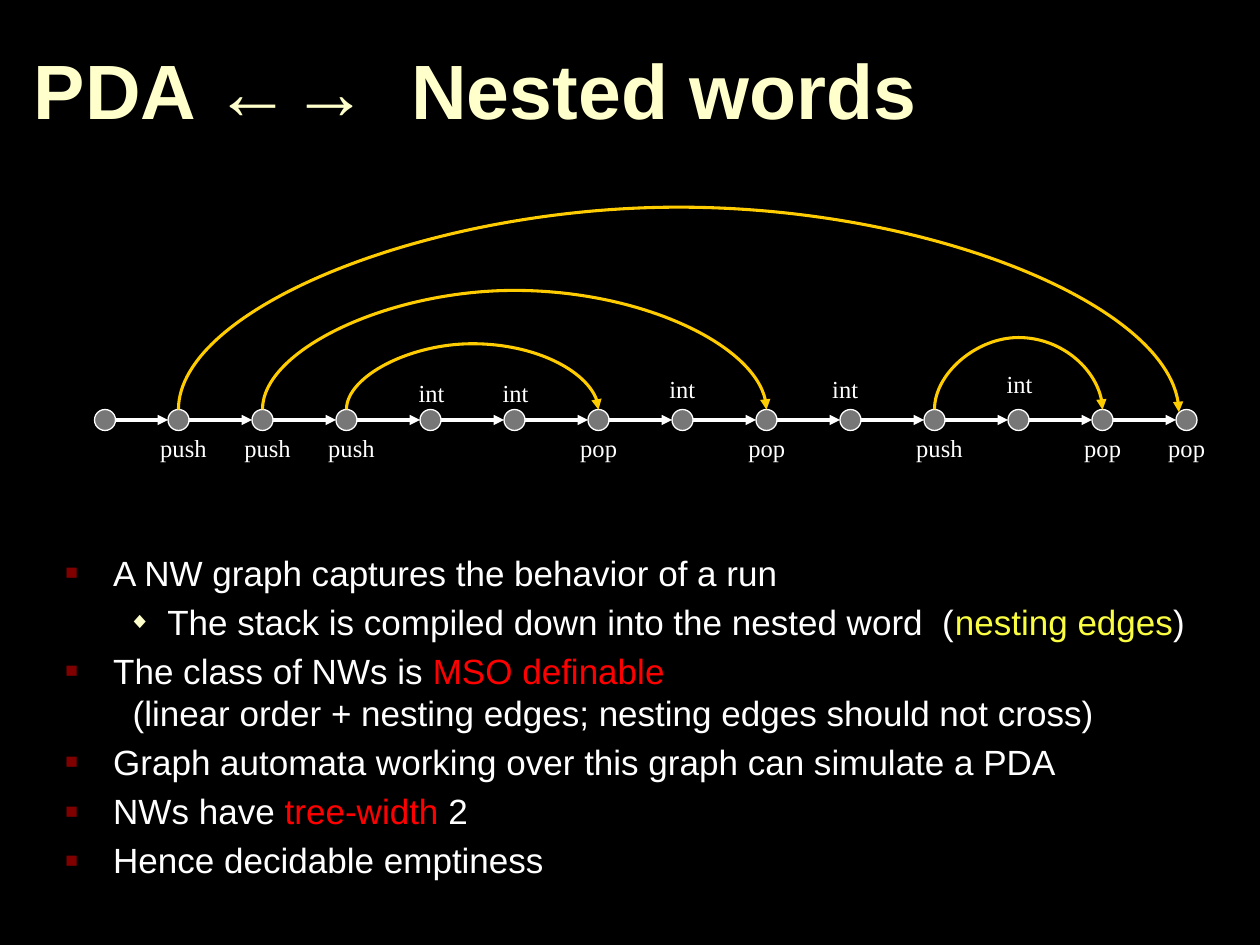
from lxml import etree
from pptx import Presentation
from pptx.dml.color import RGBColor
from pptx.enum.shapes import MSO_CONNECTOR as Link, MSO_SHAPE as Shape
from pptx.enum.text import MSO_ANCHOR as Anchor, MSO_AUTO_SIZE as AutoSize
from pptx.oxml.ns import qn
from pptx.util import Inches, Pt

BLACK = RGBColor(0x00, 0x00, 0x00)
WHITE = RGBColor(0xFF, 0xFF, 0xFF)
GREY = RGBColor(0x77, 0x77, 0x77)
CREAM = RGBColor(0xFF, 0xFF, 0xCC)
GOLD = RGBColor(0xFF, 0xCC, 0x00)
YELLOW = RGBColor(0xF9, 0xFC, 0x40)
RED = RGBColor(0xFF, 0x00, 0x00)
MAROON = RGBColor(0x80, 0x00, 0x00)

# The word: one node per letter, after a start node
START_X = 0.75
FIRST_X = 4 / 3
PITCH = 2 / 3
NODE_SIZE = 1 / 6
NODE_TOP = 3.25
LETTERS = ["push", "push", "push", "int", "int", "pop", "int",
           "pop", "int", "push", "int", "pop", "pop"]
# Position in the word: offset from the node, top
INT_PLACES = {3: (-0.11, 2.95), 4: (-0.11, 2.95), 6: (-0.12, 2.92),
              8: (-0.16, 2.92), 10: (-0.11, 2.88)}
# Push position, pop position, rise, end shift to the left, end drop
NESTING_EDGES = [(0, 12, 1.6, 0.06, 0.02), (1, 7, 0.96, 0, 0),
                 (2, 5, 0.53, 0, 0), (9, 11, 0.58, 0, 0)]
MIN_DROP = 0.002

# Level, lines of (text, colour) runs
POINTS = [
    (0, [[("A NW graph captures the behavior of a run", WHITE)]]),
    (1, [[("The stack is compiled down into the nested word  (", WHITE),
          ("nesting edges", YELLOW), (")", WHITE)]]),
    (0, [[("The class of NWs is ", WHITE), ("MSO definable", RED)],
         [("  (linear order + nesting edges; nesting edges should not cross)", WHITE)]]),
    (0, [[("Graph automata working over this graph can simulate a PDA", WHITE)]]),
    (0, [[("NWs have ", WHITE), ("tree-width", RED), (" 2", WHITE)]]),
    (0, [[("Hence decidable emptiness", WHITE)]]),
]
# Per level: left margin, hanging indent, bullet, colour, size in percent
BULLETS = [(0.38, 0.38, "■", MAROON, 60), (0.81, 0.31, "◆", CREAM, 65)]


def add_run(paragraph, text, size=20, font="Arial", color=WHITE, bold=False):
    run = paragraph.add_run()
    run.text = text
    run.font.size = Pt(size)
    run.font.name = font
    run.font.color.rgb = color
    run.font.bold = bold


def add_frame(slide, left, top, width, height, wrap=True, anchor=Anchor.TOP):
    box = slide.shapes.add_textbox(Inches(left), Inches(top), Inches(width), Inches(height))
    frame = box.text_frame
    frame.word_wrap = wrap
    frame.vertical_anchor = anchor
    return frame


def set_bullet(paragraph, level):
    margin, hanging, char, color, percent = BULLETS[level]
    props = paragraph._p.get_or_add_pPr()
    props.set("marL", str(Inches(margin)))
    props.set("indent", str(-Inches(hanging)))
    bullet_color = etree.SubElement(props, qn("a:buClr"))
    etree.SubElement(bullet_color, qn("a:srgbClr"), val=str(color))
    etree.SubElement(props, qn("a:buSzPct"), val=str(percent * 1000))
    etree.SubElement(props, qn("a:buFont"), typeface="Arial")
    etree.SubElement(props, qn("a:buChar"), char=char)


def add_points(slide):
    frame = add_frame(slide, 0.42, 4.33, 9.25, 3)
    for index, (level, lines) in enumerate(POINTS):
        paragraph = frame.add_paragraph() if index else frame.paragraphs[0]
        set_bullet(paragraph, level)
        paragraph.level = level
        paragraph.space_before = Pt(4 if index else 0)
        for number, line in enumerate(lines):
            if number:
                paragraph.add_line_break()
            for text, color in line:
                add_run(paragraph, text, color=color)


def node_left(position):
    return FIRST_X + PITCH * position


def add_node(slide, left):
    node = slide.shapes.add_shape(Shape.FLOWCHART_CONNECTOR, Inches(left), Inches(NODE_TOP),
                                  Inches(NODE_SIZE), Inches(NODE_SIZE))
    node.shadow.inherit = False
    node.fill.solid()
    node.fill.fore_color.rgb = GREY
    node.line.color.rgb = WHITE
    node.line.width = Pt(0.75)


def add_arrow(slide, kind, start, end, color):
    arrow = slide.shapes.add_connector(kind, *map(Inches, (*start, *end)))
    arrow.line.color.rgb = color
    arrow.line.width = Pt(1.75)
    etree.SubElement(arrow.line._get_or_add_ln(), qn("a:tailEnd"), type="triangle")
    etree.SubElement(arrow._element.spPr, qn("a:effectLst"))
    return arrow


def add_nesting_edge(slide, push, pop, rise, shift, drop):
    """Draw a curved connector turned a quarter, so that it bows upwards."""
    start_x = node_left(push) + NODE_SIZE / 2
    span = node_left(pop) - node_left(push) - shift
    depth = max(drop, MIN_DROP)
    left = start_x + span / 2 - depth / 2
    top = NODE_TOP + drop / 2 - span / 2
    edge = add_arrow(slide, Link.CURVE, (left, top + span), (left + depth, top), GOLD)
    properties = edge._element.spPr
    properties.find(qn("a:xfrm")).set("rot", "5400000")
    geometry = properties.find(qn("a:prstGeom"))
    adjustments = geometry.find(qn("a:avLst"))
    if adjustments is None:
        adjustments = etree.SubElement(geometry, qn("a:avLst"))
    bow = round(-rise / depth * 100000)
    etree.SubElement(adjustments, qn("a:gd"), name="adj1", fmla=f"val {bow}")


def add_letter(slide, position, letter):
    is_int = letter == "int"
    offset, top = INT_PLACES[position] if is_int else (-0.16, NODE_TOP)
    width = {"push": 0.65, "pop": 0.58, "int": 0.41}[letter]
    frame = add_frame(slide, node_left(position) + offset, top, width,
                      0.33 if is_int else 0.5, wrap=False)
    frame.auto_size = AutoSize.SHAPE_TO_FIT_TEXT
    add_run(frame.paragraphs[0], letter, size=14, font="Times New Roman")
    if not is_int:
        add_run(frame.paragraphs[0], " ", size=24, font="Times New Roman")


def main():
    deck = Presentation()
    deck.slide_width, deck.slide_height = Inches(10), Inches(7.5)
    slide = deck.slides.add_slide(deck.slide_layouts[6])
    slide.background.fill.solid()
    slide.background.fill.fore_color.rgb = BLACK

    # Title and points
    title = add_frame(slide, 0.17, 0.17, 9.75, 1.25, anchor=Anchor.MIDDLE).paragraphs[0]
    title.line_spacing = 0.7
    add_run(title, "PDA ←→  Nested words", size=44, color=CREAM, bold=True)
    add_points(slide)

    # Nodes and linear order
    nodes = [START_X] + [node_left(position) for position in range(len(LETTERS))]
    for left in nodes:
        add_node(slide, left)
    middle = NODE_TOP + NODE_SIZE / 2
    for left, following in zip(nodes, nodes[1:]):
        add_arrow(slide, Link.STRAIGHT, (left + NODE_SIZE, middle), (following, middle), WHITE)

    # Nesting edges and letters
    for nesting_edge in NESTING_EDGES:
        add_nesting_edge(slide, *nesting_edge)
    for position, letter in enumerate(LETTERS):
        add_letter(slide, position, letter)

    deck.save("out.pptx")


if __name__ == "__main__":
    main()
